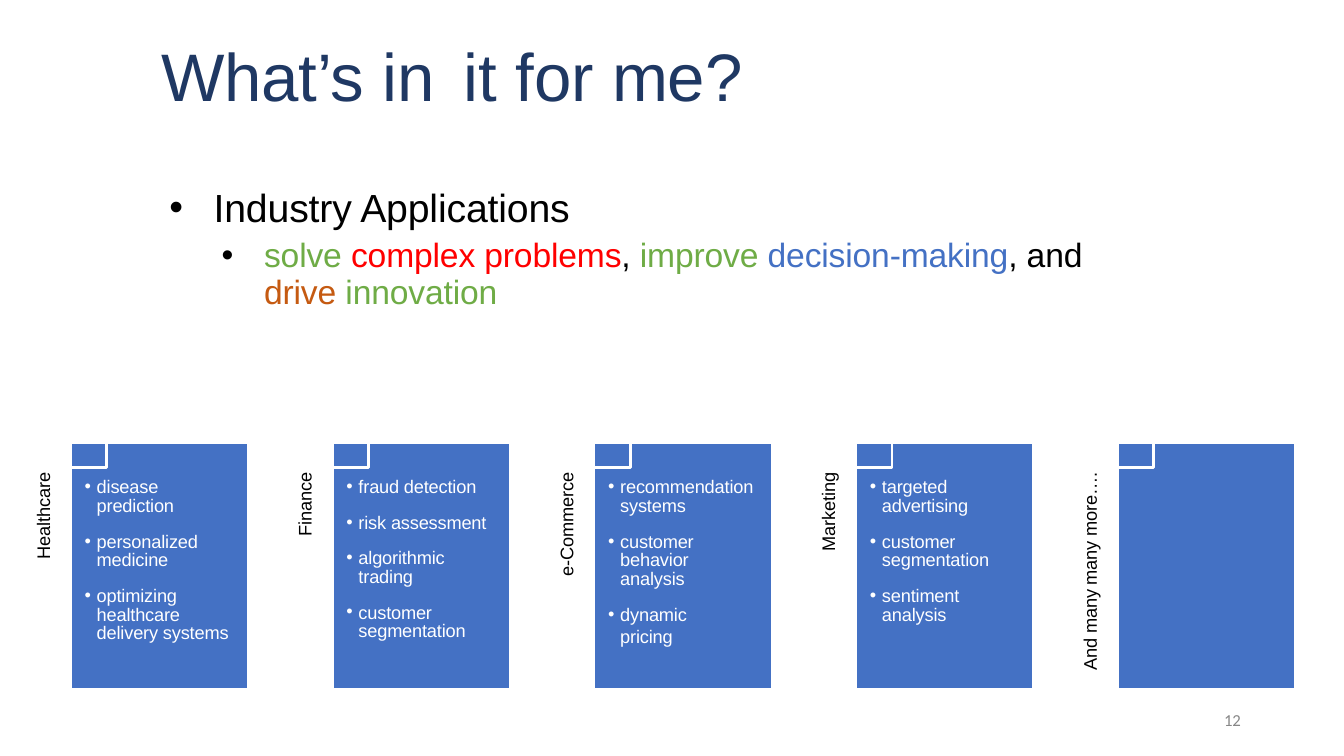
from pptx import Presentation
from pptx import util as u
from pptx.dml import color
from pptx.enum import shapes, text
from pptx.oxml import ns
from lxml import etree

INK, NAVY, BLUE, WHITE = "000000", "1F3863", "4471C4", "FFFFFF"
GREEN, RED, RUST, GREY = "6FAC46", "FF0000", "C55A11", "878787"

CARDS = [
    ("Healthcare", 3.6, ["disease prediction", "personalized medicine",
                         "optimizing healthcare delivery systems"]),
    ("Finance", 2.68, ["fraud detection", "risk assessment",
                       "algorithmic trading", "customer segmentation"]),
    ("e-Commerce", 4.28, ["recommendation systems",
                          "customer behavior analysis", "dynamic pricing"]),
    ("Marketing", 3.28, ["targeted advertising", "customer segmentation",
                         "sentiment analysis"]),
    ("And many many more….", 8.2, []),
]
LOOSE = {"dynamic pricing": {"gap": 9.8, "lead": 1.0, "right": 0.3}}
GOAL = [("solve ", GREEN), ("complex problems", RED), (", ", INK),
        ("improve ", GREEN), ("decision-making", BLUE), (", and ", INK),
        ("drive ", RUST), ("innovation", GREEN)]


def tint(code):
    return color.RGBColor.from_string(code)


class Deck:
    """Holds the style and current slide on a grid of 40 columns and 30 rows."""

    def __init__(self):
        self.prs = Presentation()
        self.prs.slide_width, self.prs.slide_height = u.Inches(13.33), u.Inches(7.5)
        self.col, self.row = self.prs.slide_width / 40, self.prs.slide_height / 30
        self.page = self.prs.slides.add_slide(self.prs.slide_layouts[1])

    def grid(self, x, y, w, h):
        return [int(n) for n in (x * self.col, y * self.row, w * self.col, h * self.row)]

    def frame(self, shape):
        look = dict(margin_left=0, margin_top=0, margin_right=0, margin_bottom=0,
                    word_wrap=True, auto_size=text.MSO_AUTO_SIZE.NONE,
                    vertical_anchor=text.MSO_ANCHOR.TOP)
        for key, val in look.items():
            setattr(shape.text_frame, key, val)
        return shape.text_frame

    def hold(self, idx, *area):
        spot = self.page.placeholders[idx]
        for key, val in zip(("left", "top", "width", "height"), self.grid(*area)):
            setattr(spot, key, val)
        return self.frame(spot)

    def box(self, *area, turn=None):
        body = self.frame(self.page.shapes.add_textbox(*self.grid(*area)))
        if turn:
            body.paragraphs[0].runs or body._txBody.bodyPr.set("vert", turn)
        return body

    def rect(self, *area, fill=None):
        item = self.page.shapes.add_shape(shapes.MSO_SHAPE.RECTANGLE, *self.grid(*area))
        item.shadow.inherit = False
        if fill:
            item.fill.solid()
            item.fill.fore_color.rgb = tint(fill)
        else:
            item.fill.background()
        item.line.color.rgb = tint(WHITE)
        item.line.width = u.Pt(2.04)

    def line(self, body, parts, size, name="Arial", gap=0, lead=1.0, level=0,
             side=text.PP_ALIGN.LEFT, dot=None, left=0, hang=0, right=0, tab=None):
        first = body.paragraphs[0]
        para = body.add_paragraph() if first.runs else first
        look = dict(level=level, alignment=side, space_before=u.Pt(gap),
                    line_spacing=lead)
        for key, val in look.items():
            setattr(para, key, val)
        prop = para._p.get_or_add_pPr()
        for key, val in (("marL", left), ("indent", -hang), ("marR", right)):
            prop.set(key, str(int(u.Inches(val))))
        if dot:
            tone = etree.SubElement(prop, ns.qn("a:buClr"))
            etree.SubElement(tone, ns.qn("a:srgbClr"), val=dot)
            etree.SubElement(prop, ns.qn("a:buFont"), typeface="Arial")
            etree.SubElement(prop, ns.qn("a:buChar"), char="•")
        if tab:
            stops = etree.SubElement(prop, ns.qn("a:tabLst"))
            etree.SubElement(stops, ns.qn("a:tab"), pos=str(int(u.Inches(tab))), algn="l")
        for words, code in parts:
            run = para.add_run()
            run.text = words
            for key, val in dict(size=u.Pt(size), name=name).items():
                setattr(run.font, key, val)
            run.font.color.rgb = tint(code)
            run._r.get_or_add_rPr().set("spc", "-10")

    def card(self, num, label, tall, items):
        x = num * 7.79
        tag = self.box(x + 0.96, 18.76, 0.69, tall, turn="vert270")
        self.line(tag, [(label, INK)], 13, lead=u.Pt(15.3), side=text.PP_ALIGN.RIGHT)
        self.rect(x + 2.1, 17.56, 5.3, 9.8, fill=BLUE)
        if items:
            body = self.box(x + 2.46, 19, 4.47, 6.6)
        for pos, item in enumerate(items):
            look = dict(gap=11.9 if pos else 0, lead=u.Pt(13.4))
            look.update(LOOSE.get(item, {}))
            self.line(body, [(item, WHITE)], 13, dot=WHITE, left=0.14, hang=0.12, **look)
        self.rect(x + 1.05, 15.72, 2.13, 2.82)


def main():
    deck = Deck()
    head = deck.hold(0, 4.8, 1.36, 20, 3.24)
    deck.line(head, [("What’s in\tit for me?", NAVY)], 48, tab=2.94)
    body = deck.hold(1, 4.98, 7.28, 27.52, 4.88)
    deck.line(body, [("Industry Applications", INK)], 28, dot=INK, left=0.46, hang=0.44)
    deck.line(body, GOAL, 24, gap=5.6, lead=u.Pt(25.9), level=1, dot=INK,
              left=0.96, hang=0.42)
    for num, card in enumerate(CARDS):
        deck.card(num, *card)
    foot = deck.box(36.31, 28.28, 0.81, 0.8)
    deck.line(foot, [("12", GREY)], 12, name="Calibri", lead=u.Pt(12.4), left=0.04)
    deck.prs.save("out.pptx")


if __name__ == "__main__":
    main()
